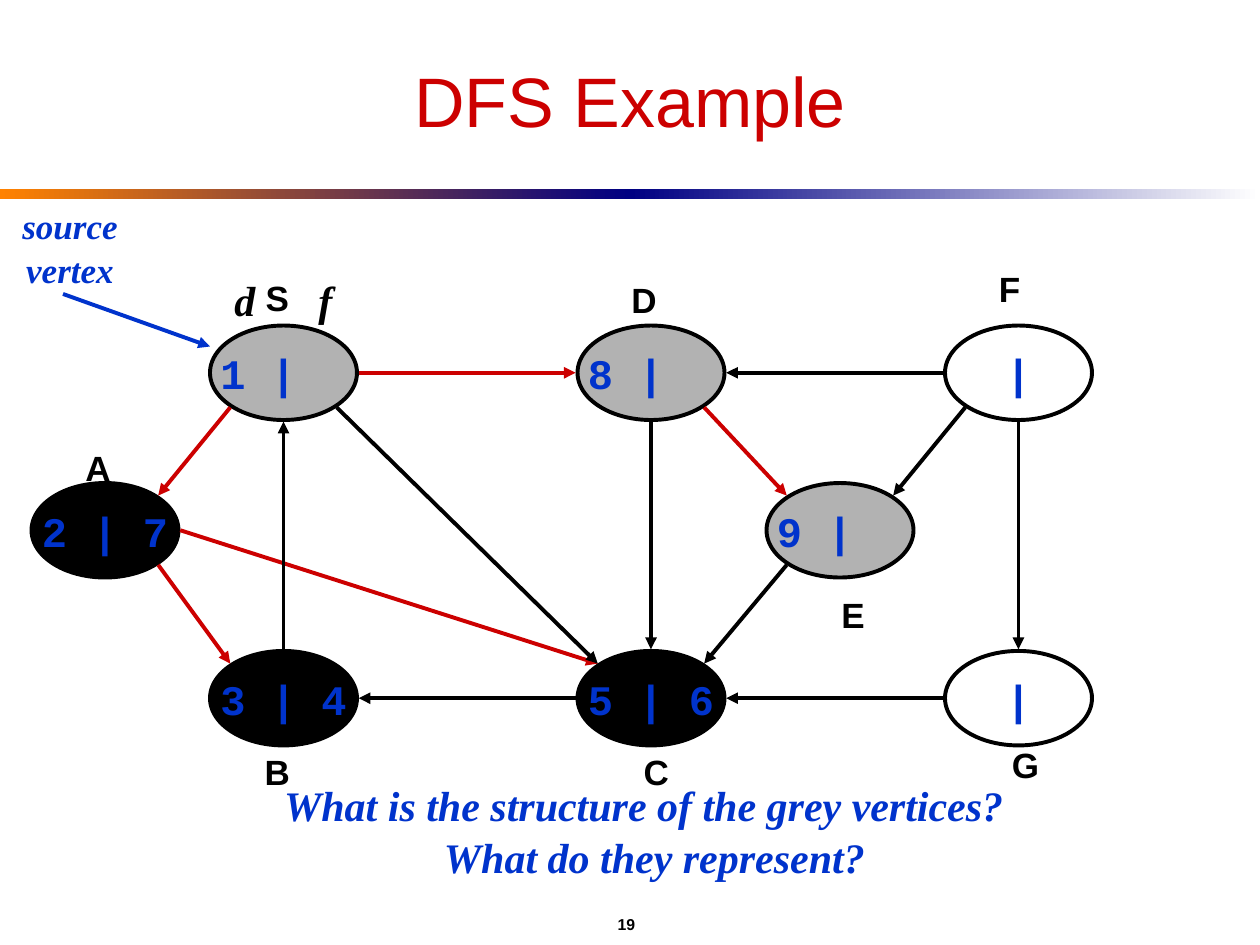
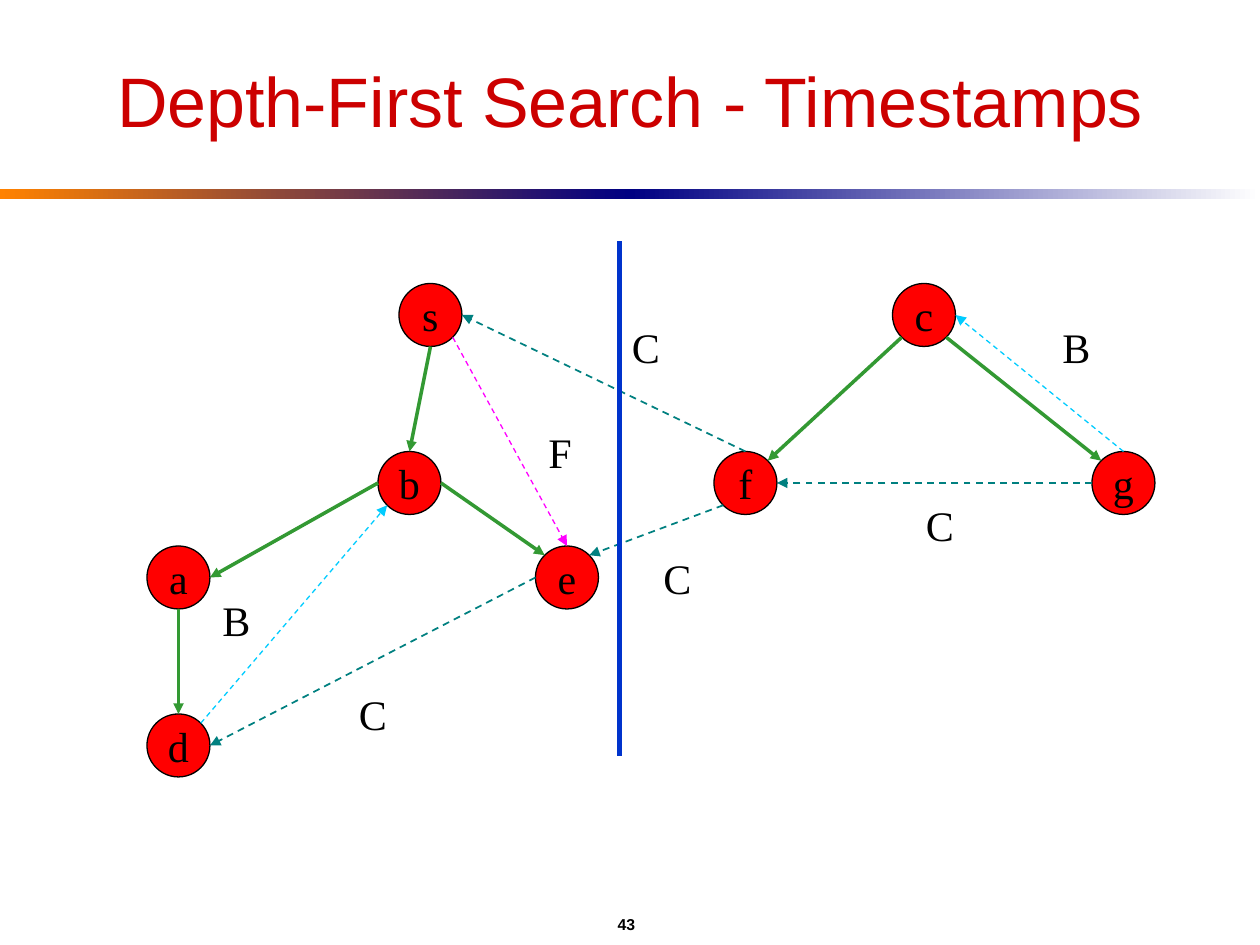
from lxml import etree
from pptx import Presentation
from pptx import util as u
from pptx.dml.color import RGBColor
from pptx.enum import dml, shapes, text
from pptx.oxml.ns import qn

Pt = u.Pt
rgb = RGBColor.from_string
BLACK, BLUE, RED, GREY = "000000", "0033CC", "CC0000", "B2B2B2"
GREEN, TEAL, CYAN, PINK = "339933", "008080", "00CCFF", "FF00FF"
ARIAL, TIMES, COURIER = "Arial", "Times New Roman", "Courier New"
DIAGONAL = 0.5 ** 0.5
SITES = {"n": (0, -1), "s": (0, 1), "e": (1, 0), "w": (-1, 0),
         "ne": (DIAGONAL, -DIAGONAL), "se": (DIAGONAL, DIAGONAL),
         "nw": (-DIAGONAL, -DIAGONAL), "sw": (-DIAGONAL, DIAGONAL)}


def write(shape, lines, font, size, color, bold=False, italic=False):
    frame = shape.text_frame
    frame.word_wrap = False
    frame.vertical_anchor = text.MSO_ANCHOR.MIDDLE
    for number, line in enumerate(lines):
        paragraph = frame.add_paragraph() if number else frame.paragraphs[0]
        paragraph.alignment = text.PP_ALIGN.CENTER
        run = paragraph.add_run()
        run.text = line
        run.font.name, run.font.size = font, Pt(size)
        run.font.bold, run.font.italic = bold, italic
        run.font.color.rgb = rgb(color)


def draw_line(slide, start, end, color, width, dashed=False, arrow=True):
    connector = slide.shapes.add_connector(
        shapes.MSO_CONNECTOR.STRAIGHT, *[Pt(value) for value in (*start, *end)])
    connector.line.color.rgb = rgb(color)
    connector.line.width = Pt(width)
    if dashed:
        connector.line.dash_style = dml.MSO_LINE.DASH
    properties = connector._element.spPr
    if arrow:
        outline = properties.find(qn("a:ln"))
        etree.SubElement(outline, qn("a:tailEnd"), type="triangle")
    etree.SubElement(properties, qn("a:effectLst"))


dfs_example = {
    "title": "DFS Example", "number": "19",
    "shape": shapes.MSO_SHAPE.OVAL, "size": (84, 54), "gap": 1, "outline": 2.25,
    "node_style": (COURIER, 24, BLUE, True), "label_style": (ARIAL, 20, BLACK, True),
    "nodes": {
        "S": (120, 186, "1 |", GREY), "D": (330, 186, "8 |", GREY),
        "F": (540, 186, "|", None), "G": (540, 372, "|", None),
        "C": (330, 372, "5 | 6", BLACK), "B": (120, 372, "3 | 4", BLACK),
        "A": (18, 276, "2 | 7", BLACK), "E": (438, 276, "9 |", GREY)},
    "tree": (RED, 2.25), "other": (BLACK, 2.25),
    "edges": [
        ("S", "sw", "A", "ne", "tree"), ("A", "se", "B", "nw", "tree"),
        ("A", "e", "C", "nw", "tree"), ("C", "w", "B", "e", "other"),
        ("B", "n", "S", "s", "other"), ("S", "se", "C", "nw", "other"),
        ("D", "s", "C", "n", "other"), ("S", "e", "D", "w", "tree"),
        ("F", "w", "D", "e", "other"), ("D", "se", "E", "nw", "tree"),
        ("F", "sw", "E", "ne", "other"), ("F", "s", "G", "n", "other"),
        ("G", "w", "C", "e", "other"), ("E", "sw", "C", "ne", "other")],
    "labels": [("S", 158.5, 170), ("A", 56, 267), ("B", 158.5, 441), ("C", 375, 441),
               ("D", 368, 171), ("E", 487.5, 351), ("F", 577, 165), ("G", 586, 437)]}

timestamps = {
    "title": "Depth-First Search - Timestamps", "number": "43",
    "shape": shapes.MSO_SHAPE.FLOWCHART_CONNECTOR, "size": (36, 36), "gap": 0,
    "outline": 0.75,
    "node_style": (TIMES, 24, BLACK), "label_style": (TIMES, 24, BLACK),
    "nodes": {
        name: (left, top, name, "FF0000") for name, left, top in [
            ("a", 84, 312), ("e", 306, 312), ("s", 228, 162), ("b", 216, 258),
            ("f", 408, 258), ("d", 84, 408), ("c", 510, 162), ("g", 624, 258)]},
    "tree": (GREEN, 2), "cross": (TEAL, 1, True),
    "back": (CYAN, 0.75, True), "forward": (PINK, 0.75, True),
    "edges": [
        ("b", "w", "a", "e", "tree"), ("a", "s", "d", "n", "tree"),
        ("b", "e", "e", "nw", "tree"), ("e", "w", "d", "e", "cross"),
        ("d", "ne", "b", "sw", "back"), ("s", "se", "e", "n", "forward"),
        ("c", "se", "g", "nw", "tree"), ("s", "s", "b", "n", "tree"),
        ("c", "sw", "f", "ne", "tree"), ("f", "sw", "e", "ne", "cross"),
        ("f", "n", "s", "e", "cross"), ("g", "w", "f", "e", "cross"),
        ("g", "n", "c", "e", "back")],
    "labels": [("B", 615, 198), ("F", 320, 258), ("C", 213, 408), ("C", 537, 300),
               ("C", 387, 330), ("C", 369, 198), ("B", 135, 354)]}

presentation = Presentation()
presentation.slide_width, presentation.slide_height = Pt(720), Pt(540)

for graph in (dfs_example, timestamps):
    slide = presentation.slides.add_slide(presentation.slide_layouts[5])
    title = slide.shapes.title
    title.left, title.top, title.width, title.height = Pt(36), Pt(18), Pt(648), Pt(78)
    write(title, [graph["title"]], ARIAL, 40, RED)
    title.text_frame.word_wrap = True

    for left, colors in ((0, ("FF8200", "000082")), (360, ("000082", "FFFFFF"))):
        band = slide.shapes.add_shape(
            shapes.MSO_SHAPE.RECTANGLE, Pt(left), Pt(108), Pt(360), Pt(6))
        band.shadow.inherit = False
        band.line.fill.background()
        band.fill.gradient()
        band.fill.gradient_angle = 0
        for stop, color in zip(band.fill.gradient_stops, colors):
            stop.color.rgb = rgb(color)

    footer = slide.shapes.add_textbox(Pt(34), Pt(516), Pt(648), Pt(24))
    write(footer, [graph["number"]], ARIAL, 9, BLACK, True)

    width, height = graph["size"]
    for left, top, caption, fill in graph["nodes"].values():
        node = slide.shapes.add_shape(
            graph["shape"], Pt(left), Pt(top), Pt(width), Pt(height))
        node.shadow.inherit = False
        if fill:
            node.fill.solid()
            node.fill.fore_color.rgb = rgb(fill)
        else:
            node.fill.background()
        node.line.color.rgb = rgb(BLACK)
        node.line.width = Pt(graph["outline"])
        write(node, [caption], *graph["node_style"])
        if caption.endswith(" |"):
            node.text_frame.margin_left = 0
            node.text_frame.margin_right = Pt(28.8)

    for source, source_site, target, target_site, kind in graph["edges"]:
        ends = []
        for name, site in ((source, source_site), (target, target_site)):
            left, top = graph["nodes"][name][:2]
            across, down = SITES[site]
            ends.append((left + width / 2 + across * (width / 2 + graph["gap"]),
                         top + height / 2 + down * (height / 2 + graph["gap"])))
        draw_line(slide, *ends, *graph[kind])

    for caption, center, middle in graph["labels"]:
        label = slide.shapes.add_textbox(Pt(center - 15), Pt(middle - 18), Pt(30), Pt(36))
        write(label, [caption], *graph["label_style"])

example_slide, timestamp_slide = presentation.slides

draw_line(example_slide, (36, 168), (120, 198), BLUE, 2.25)
for lines, left, top, width, height, size, color in (
        (["source", "vertex"], 5, 114, 70, 55, 20, BLUE),
        (["d"], 125, 153, 30, 36, 24, BLACK),
        (["f"], 171, 153, 30, 36, 24, BLACK),
        (["What is the structure of the grey vertices?", "What do they represent?"],
         138, 442, 460, 65, 24, BLUE)):
    note = example_slide.shapes.add_textbox(Pt(left), Pt(top), Pt(width), Pt(height))
    write(note, lines, TIMES, size, color, True, True)
    for paragraph in note.text_frame.paragraphs[1:]:
        paragraph.space_before = Pt(1)

note.text_frame.word_wrap = True
note.text_frame.paragraphs[1]._p.get_or_add_pPr().set("marL", str(Pt(12)))

draw_line(timestamp_slide, (354, 138), (354, 432), BLUE, 3, arrow=False)

presentation.save("out.pptx")
